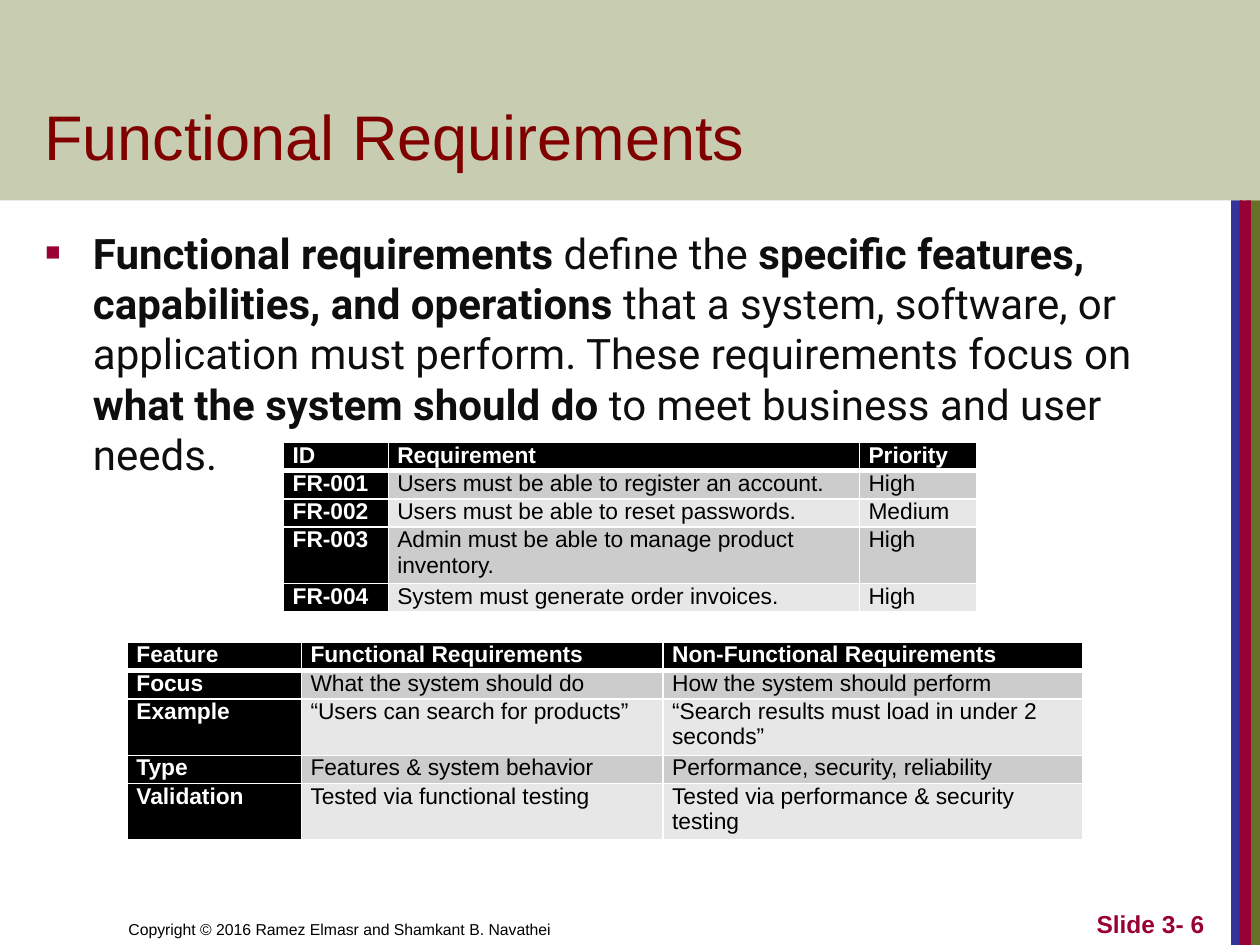
from lxml import etree
from pptx import Presentation, oxml, util as u
from pptx.dml.color import RGBColor
from pptx.enum import shapes, text
from pptx.oxml import ns

Cm, Pt = u.Cm, u.Pt
hues = {
    "olive": "677228", "blue": "333399", "wine": "990033", "red": "800000",
    "ink": "0E0E0E", "black": "000000", "white": "FFFFFF",
    "dark": "CCCCCC", "light": "E7E7E7",
}


def put(par, words, size, hue, bold=False, face="Arial"):
    run = par.add_run()
    run.text = words
    run.font.size = Pt(size)
    run.font.bold = bold
    run.font.name = face
    run.font.color.rgb = RGBColor.from_string(hues[hue])


def edge(cell, side, width):
    line = etree.SubElement(cell._tc.get_or_add_tcPr(), ns.qn("a:ln" + side), w=str(Pt(width)))
    fill = etree.SubElement(line, ns.qn("a:solidFill"))
    etree.SubElement(fill, ns.qn("a:srgbClr"), val=hues["white"])


deck = Presentation()
deck.slide_width, deck.slide_height = Cm(25.4), Cm(19.05)
slide = deck.slides.add_slide(deck.slide_layouts[1])
title, body = slide.placeholders

bars = [
    (25.12, 4.04, 0.28, 15.01, "olive"),
    (24.82, 4.04, 0.23, 15.01, "blue"),
    (24.99, 4.04, 0.23, 15.01, "wine"),
    (0, 0, 25.4, 4.04, "olive"),
]
for x, y, w, h, hue in bars:
    bar = slide.shapes.add_shape(shapes.MSO_SHAPE.RECTANGLE, Cm(x), Cm(y), Cm(w), Cm(h))
    bar.shadow.inherit = False
    bar.fill.solid()
    bar.fill.fore_color.rgb = RGBColor.from_string(hues[hue])
    bar.line.fill.background()
tint = bar.element.spPr.find(ns.qn("a:solidFill"))[0]
etree.SubElement(tint, ns.qn("a:alpha"), val="36000")

notes = [
    (2.34, 12.5, "Copyright © 2016 Ramez Elmasr and Shamkant B. Navathei",
     9, "black", False, text.PP_ALIGN.LEFT),
    (19.25, 5.28, "Slide 3- 6", 14, "wine", True, text.PP_ALIGN.RIGHT),
]
for x, w, words, size, hue, bold, side in notes:
    frame = slide.shapes.add_textbox(Cm(x), Cm(17.78), Cm(w), Cm(1.27)).text_frame
    frame.word_wrap = True
    frame.vertical_anchor = text.MSO_ANCHOR.BOTTOM
    frame.paragraphs[0].alignment = side
    put(frame.paragraphs[0], words, size, hue, bold)

spots = [(title, 0.64, 0.84, 21.67, 2.77), (body, 0.66, 4.45, 23.04, 12.7)]
for shape, x, y, w, h in spots:
    shape.left, shape.top, shape.width, shape.height = Cm(x), Cm(y), Cm(w), Cm(h)
    shape.text_frame.auto_size = text.MSO_AUTO_SIZE.NONE
    slide.shapes.element.append(shape.element)

title.text_frame.vertical_anchor = text.MSO_ANCHOR.BOTTOM
par = title.text_frame.paragraphs[0]
par.alignment = text.PP_ALIGN.LEFT
put(par, "Functional Requirements", 36, "red")

body.text_frame.margin_right = 0
body.text_frame.vertical_anchor = text.MSO_ANCHOR.TOP
par = body.text_frame.paragraphs[0]
props = par._p.get_or_add_pPr()
props.set("marL", str(Cm(0.96)))
props.set("indent", str(-Cm(0.96)))
for mark in (
    f'<a:buClr {ns.nsdecls("a")}><a:srgbClr val="{hues["wine"]}"/></a:buClr>',
    f'<a:buSzPct {ns.nsdecls("a")} val="60000"/>',
    f'<a:buFont {ns.nsdecls("a")} typeface="Arial"/>',
    f'<a:buChar {ns.nsdecls("a")} char="■"/>',
):
    props.append(oxml.parse_xml(mark))
par.space_before = Pt(0)
parts = [
    "Functional requirements", " define the ",
    "specific features, capabilities, and operations",
    " that a system, software, or application must perform. These requirements focus on ",
    "what the system should do", " to meet business and user needs.",
]
for i, words in enumerate(parts):
    put(par, words, 24, "ink", i % 2 == 0, "Roboto")

needs = [
    ("ID", "Requirement", "Priority"),
    ("FR-001", "Users must be able to register an account.", "High"),
    ("FR-002", "Users must be able to reset passwords.", "Medium"),
    ("FR-003", "Admin must be able to manage product inventory.", "High"),
    ("FR-004", "System must generate order invoices.", "High"),
]
kinds = [
    ("Feature", "Functional Requirements", "Non-Functional Requirements"),
    ("Focus", "What the system should do", "How the system should perform"),
    ("Example", "“Users can search for products”",
     "“Search results must load in under 2 seconds”"),
    ("Type", "Features & system behavior", "Performance, security, reliability"),
    ("Validation", "Tested via functional testing",
     "Tested via performance & security testing"),
]
grids = [
    (5.72, 8.92, (2.11, 9.5, 2.36), needs, {3}),
    (2.57, 12.95, (3.51, 7.29, 8.46), kinds, {2, 4}),
]
for x, y, wides, rows, tall in grids:
    highs = [1.14 if r in tall else 0.57 for r in range(len(rows))]
    table = slide.shapes.add_table(len(rows), len(wides), Cm(x), Cm(y),
                                   Cm(sum(wides)), Cm(sum(highs))).table
    for col, wide in zip(table.columns, wides):
        col.width = Cm(wide)
    for r, row in enumerate(rows):
        table.rows[r].height = Cm(highs[r])
        for c, words in enumerate(row):
            cell = table.cell(r, c)
            head = r == 0 or c == 0
            cell.margin_left = cell.margin_right = Cm(0.18)
            cell.margin_top = cell.margin_bottom = 0
            for side in "LRTB":
                thick = (r, side) in ((0, "B"), (1, "T"))
                edge(cell, side, 3 if thick else 1)
            cell.fill.solid()
            hue = "black" if head else "dark" if r % 2 else "light"
            cell.fill.fore_color.rgb = RGBColor.from_string(hues[hue])
            put(cell.text_frame.paragraphs[0], words, 13, "white" if head else "black", head)

deck.save("out.pptx")
